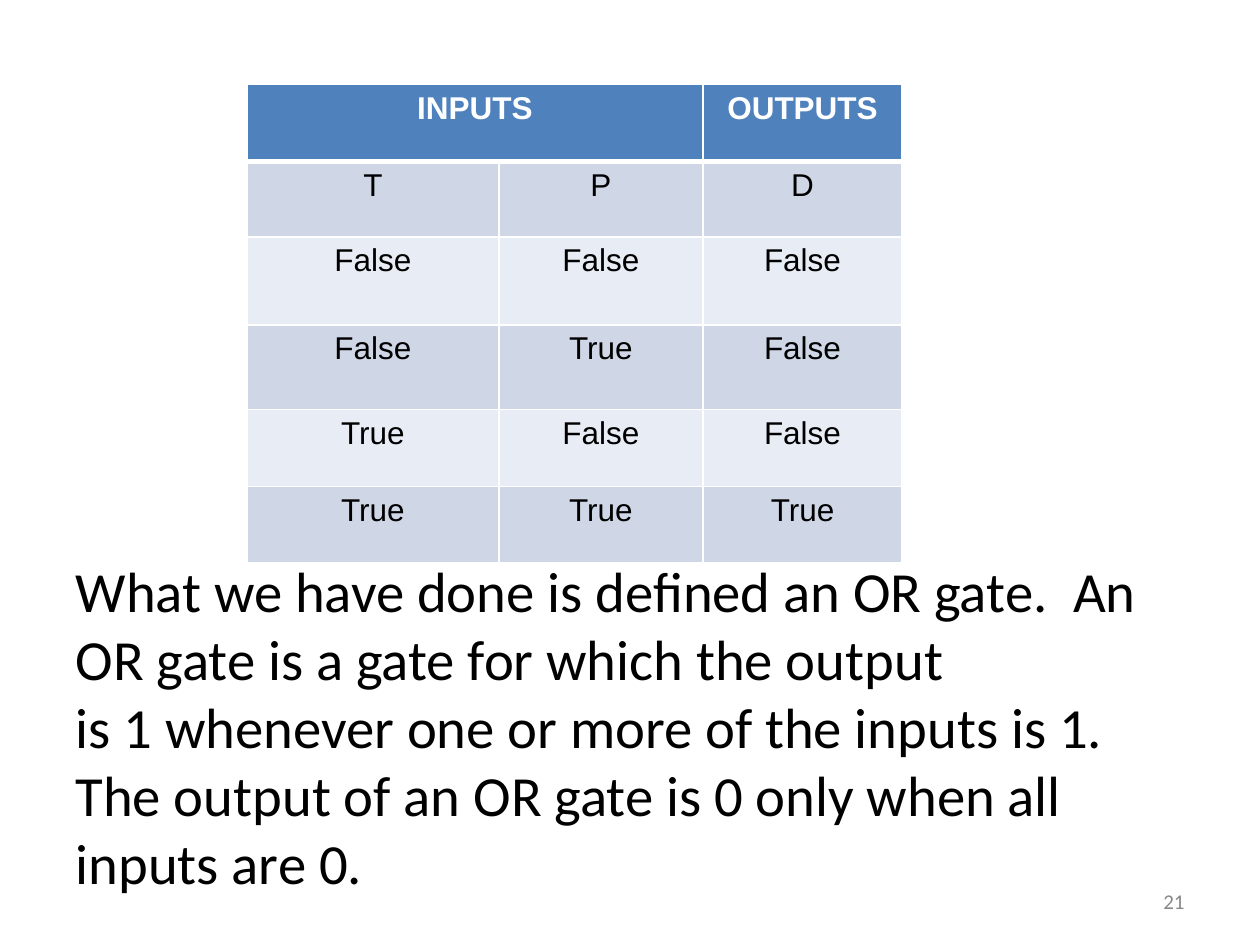
from lxml.etree import SubElement
from pptx import Presentation
from pptx.dml.color import RGBColor
from pptx.enum.text import MSO_ANCHOR, MSO_AUTO_SIZE, PP_ALIGN
from pptx.oxml.ns import qn
from pptx.util import Inches, Pt

COLORS = {"header": "4F81BD", "odd": "CFD7E7", "even": "E8ECF4",
          "white": "FFFFFF", "black": "000000", "gray": "888888"}
ROWS = [("INPUTS", "", "OUTPUTS"), ("T", "P", "D"),
        ("False", "False", "False"), ("False", "True", "False"),
        ("True", "False", "False"), ("True", "True", "True")]
COL_WIDTHS = [2, 1.62, 1.58]
ROW_HEIGHTS = [0.61, 0.6, 0.7, 0.67, 0.61, 0.61]
DEFINITION = (
    "What we have done is defined an\u00a0OR\u00a0gate.\u00a0 An OR gate is a gate "
    "for which the output is\u00a01\u00a0whenever one or more of the inputs is 1.\u00a0 "
    "The output of an OR gate is\u00a00\u00a0only when all inputs are 0.")


def add_run(p, text, size, font, color, bold=False):
    r = p.add_run()
    r.text = text
    r.font.size = Pt(size)
    r.font.name = font
    r.font.bold = bold
    r.font.color.rgb = RGBColor.from_string(COLORS[color])


def set_borders(cell, widths):
    tcPr = cell._tc.get_or_add_tcPr()
    for side, width in widths.items():
        ln = SubElement(tcPr, qn("a:ln" + side), w=str(Pt(width)))
        fill = SubElement(ln, qn("a:solidFill"))
        SubElement(fill, qn("a:srgbClr"), val=COLORS["white"])


def add_definition(s, left, top, width, height):
    sp = s.shapes.title
    sp.left, sp.top, sp.width, sp.height = map(Inches, (left, top, width, height))
    tf = sp.text_frame
    tf.word_wrap = True
    tf.auto_size = MSO_AUTO_SIZE.NONE
    tf.vertical_anchor = MSO_ANCHOR.BOTTOM
    p = tf.paragraphs[0]
    p.alignment = PP_ALIGN.LEFT
    add_run(p, DEFINITION, 32.4, "Calibri", "black")
    add_run(p, "\u00a0", 21.6, "Calibri", "black")


def add_truth_table(s, left, top):
    table = s.shapes.add_table(
        len(ROWS), len(COL_WIDTHS), Inches(left), Inches(top),
        Inches(sum(COL_WIDTHS)), Inches(sum(ROW_HEIGHTS))).table
    for col, width in zip(table.columns, COL_WIDTHS):
        col.width = Inches(width)
    for row, height in zip(table.rows, ROW_HEIGHTS):
        row.height = Inches(height)
    table.cell(0, 0).merge(table.cell(0, 1))
    for i, labels in enumerate(ROWS):
        header = i == 0
        band = "header" if header else "odd" if i % 2 else "even"
        for j, label in enumerate(labels):
            cell = table.cell(i, j)
            set_borders(cell, {"L": 1, "R": 1, "T": 3 if i == 1 else 1,
                               "B": 3 if header else 1})
            cell.fill.solid()
            cell.fill.fore_color.rgb = RGBColor.from_string(COLORS[band])
            if cell.is_spanned:
                continue
            cell.margin_left = cell.margin_right = Inches(0.14)
            p = cell.text_frame.paragraphs[0]
            p.alignment = PP_ALIGN.CENTER
            add_run(p, label, 18, "Arial", "white" if header else "black", header)


def add_slide_number(s, left, top, width, height):
    tf = s.shapes.add_textbox(*map(Inches, (left, top, width, height))).text_frame
    tf.word_wrap = True
    tf.vertical_anchor = MSO_ANCHOR.MIDDLE
    p = tf.paragraphs[0]
    p.alignment = PP_ALIGN.RIGHT
    add_run(p, "21", 12, "Calibri", "gray")


prs = Presentation()
prs.slide_width, prs.slide_height = Inches(10), Inches(7.5)
s = prs.slides.add_slide(prs.slide_layouts[5])
add_definition(s, 0.5, 4.58, 9.17, 2.58)
add_truth_table(s, 1.96, 0.67)
add_slide_number(s, 7.17, 6.95, 2.33, 0.4)
prs.save("out.pptx")
